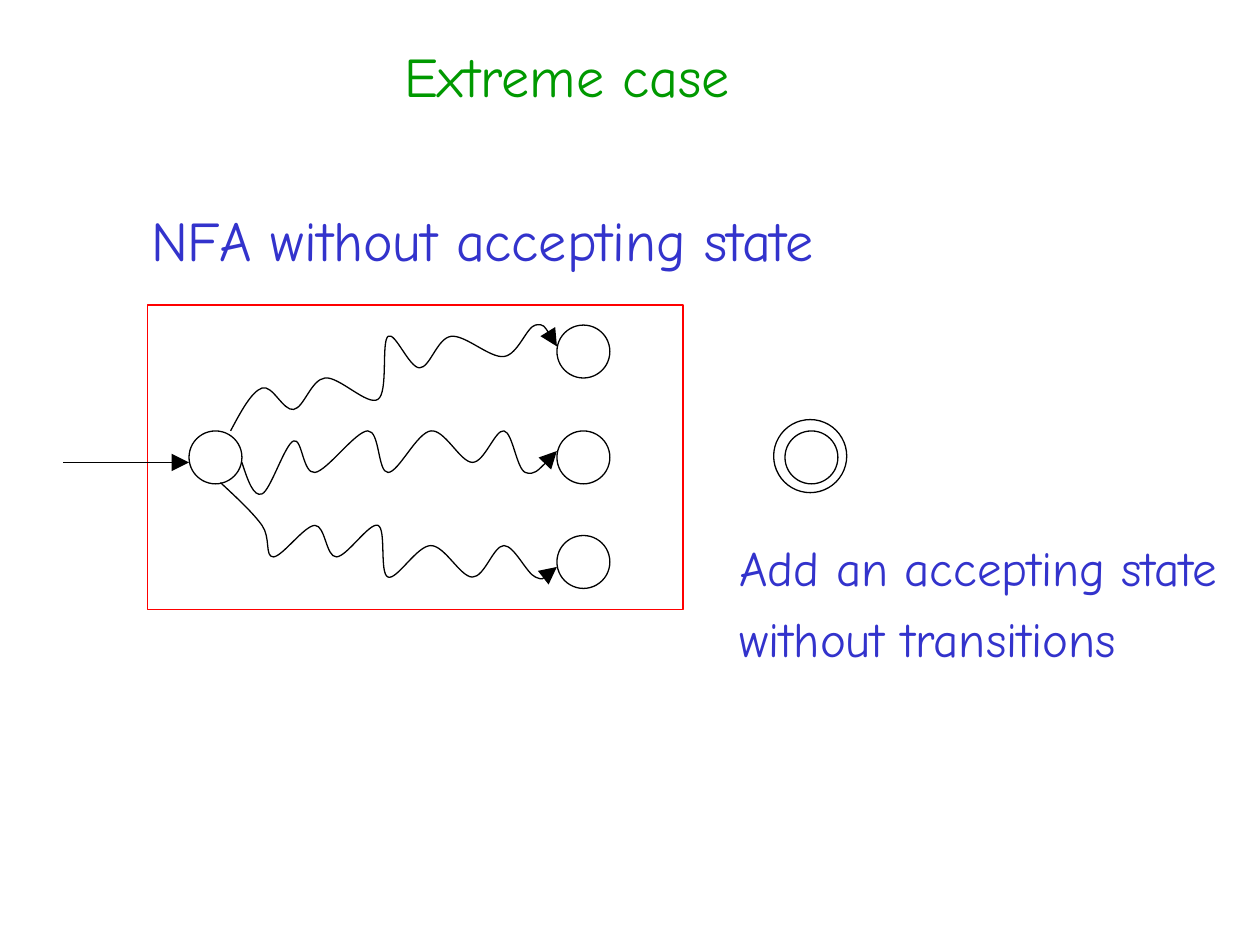
"""Build the slide on an NFA without an accepting state."""
from lxml.etree import SubElement
from pptx import Presentation
from pptx.dml.color import RGBColor
from pptx.enum.shapes import MSO_CONNECTOR, MSO_SHAPE
from pptx.enum.text import MSO_AUTO_SIZE
from pptx.oxml.ns import qn
from pptx.util import Inches, Pt


def color(hex_string):
    return RGBColor.from_string(hex_string)


def outline(figure, hex_string="000000", arrow=False):
    figure.line.color.rgb = color(hex_string)
    figure.line.width = Pt(0.75)
    if arrow:
        SubElement(figure.line._get_or_add_ln(), qn("a:tailEnd"),
                   type="triangle", w="lg", len="lg")
    if hasattr(figure, "fill"):
        figure.fill.background()
        figure.shadow.inherit = False
    else:
        SubElement(figure._element.spPr, qn("a:effectLst"))


presentation = Presentation()
presentation.slide_width = Inches(10)
presentation.slide_height = Inches(7.5)
slide = presentation.slides.add_slide(presentation.slide_layouts[6])
shapes = slide.shapes

automaton = shapes.add_shape(
    MSO_SHAPE.RECTANGLE, Inches(1.17), Inches(2.42), Inches(4.25), Inches(2.42))
outline(automaton, "FF0000")

state_size = Inches(0.42)
for left, top in [(1.5, 3.42), (4.42, 2.58), (4.42, 3.42), (4.42, 4.25)]:
    state = shapes.add_shape(
        MSO_SHAPE.OVAL, Inches(left), Inches(top), state_size, state_size)
    outline(state)

start_arrow = shapes.add_connector(
    MSO_CONNECTOR.STRAIGHT, Inches(0.5), Inches(3.67), Inches(1.5), Inches(3.67))
outline(start_arrow, arrow=True)

computations = [
    [(1.83, 3.42), (2.08, 3.08), (2.33, 3.25), (2.58, 3), (3, 3.17), (3.08, 2.67),
     (3.33, 2.92), (3.58, 2.67), (4, 2.83), (4.25, 2.58), (4.42, 2.75)],
    [(1.92, 3.67), (2.08, 3.92), (2.33, 3.5), (2.5, 3.75), (2.92, 3.42), (3.08, 3.75),
     (3.42, 3.42), (3.75, 3.67), (4, 3.42), (4.17, 3.75), (4.42, 3.58)],
    [(1.75, 3.83), (2.08, 4.17), (2.17, 4.42), (2.5, 4.17), (2.67, 4.42), (3, 4.17),
     (3.08, 4.58), (3.42, 4.33), (3.75, 4.58), (4, 4.33), (4.25, 4.58), (4.42, 4.5)],
]
for computation in computations:
    knots = [(Inches(x), Inches(y)) for x, y in computation]
    builder = shapes.build_freeform(*knots[0])
    builder.add_line_segments(knots[1:], close=False)
    wave = builder.convert_to_shape()
    outline(wave, arrow=True)

    last = len(knots) - 1
    handles = [((knots[i + 1][0] - knots[i - 1][0]) / 6,
                (knots[i + 1][1] - knots[i - 1][1]) / 6) for i in range(1, last)]
    leaving = [(x + dx, y + dy) for (x, y), (dx, dy) in zip(knots[1:], handles)]
    arriving = [(x - dx, y - dy) for (x, y), (dx, dy) in zip(knots[1:], handles)]
    first_control = tuple((a + b) / 2 for a, b in zip(knots[0], arriving[0]))
    last_control = tuple((a + b) / 2 for a, b in zip(knots[last], leaving[-1]))
    controls = zip([first_control] + leaving, arriving + [last_control])

    segments = list(wave._element.iter(qn("a:lnTo")))
    for segment, pair in zip(segments, controls):
        segment.tag = qn("a:cubicBezTo")
        end = segment[0]
        for x, y in pair:
            SubElement(segment, qn("a:pt"),
                       x=str(int(x - wave.left)), y=str(int(y - wave.top)))
        segment.append(end)

addition = shapes.add_group_shape().shapes
for left, top, size in [(6.23, 3.42, 0.42), (6.14, 3.33, 0.58)]:
    ring = addition.add_shape(
        MSO_SHAPE.OVAL, Inches(left), Inches(top), Inches(size), Inches(size))
    outline(ring)

captions = [
    (shapes, 1.1, 1.58, 5.49, 0.64, 32, "3333CC", "NFA without accepting state"),
    (addition, 5.77, 4.22, 4.01, 1.13, 28, "3333CC",
     "Add an accepting state\nwithout transitions"),
    (shapes, 3.11, 0.28, 2.8, 0.64, 32, "009900", "Extreme case"),
]
for parent, left, top, width, height, size, hue, wording in captions:
    caption = parent.add_textbox(
        Inches(left), Inches(top), Inches(width), Inches(height)).text_frame
    caption.text = wording
    caption.word_wrap = False
    caption.auto_size = MSO_AUTO_SIZE.SHAPE_TO_FIT_TEXT
    for index, paragraph in enumerate(caption.paragraphs):
        paragraph.space_before = Pt(7 if index else 0)
        for run in paragraph.runs:
            run.font.name = "Comic Neue"
            run.font.size = Pt(size)
            run.font.color.rgb = color(hue)

presentation.save("out.pptx")
